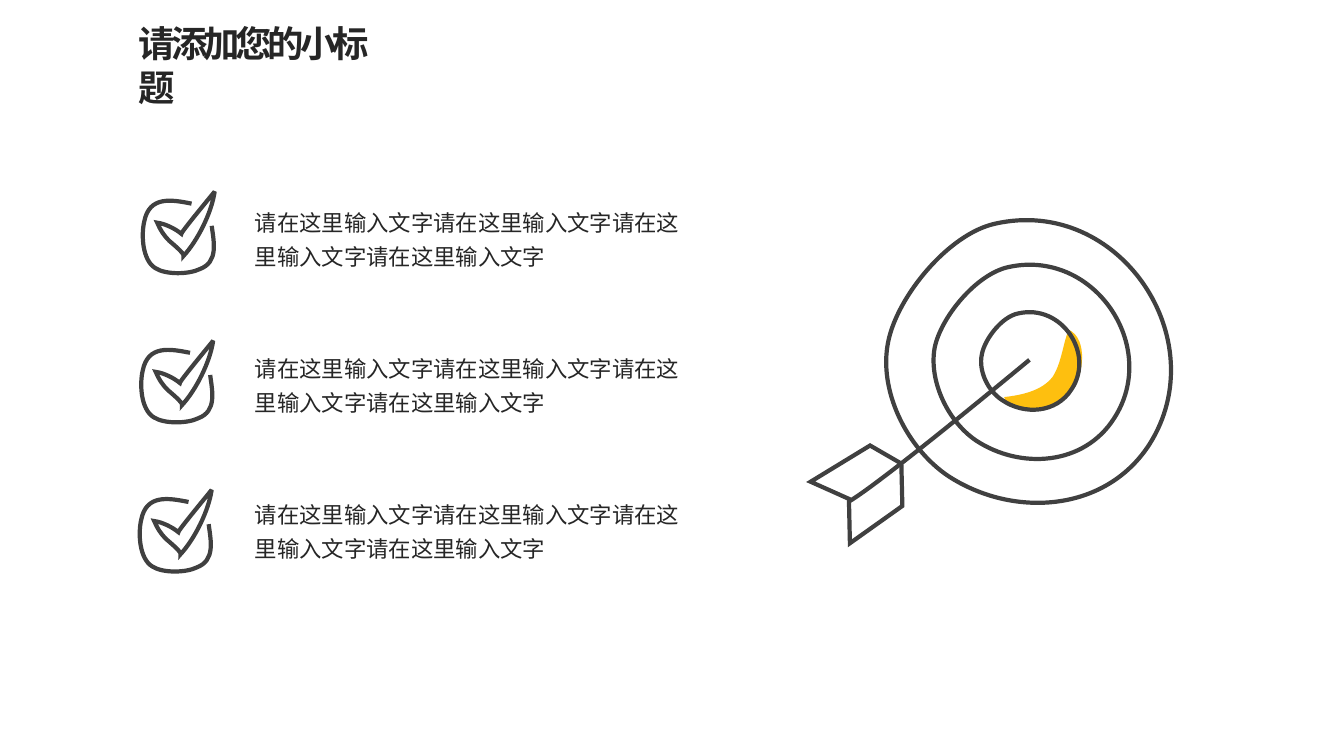
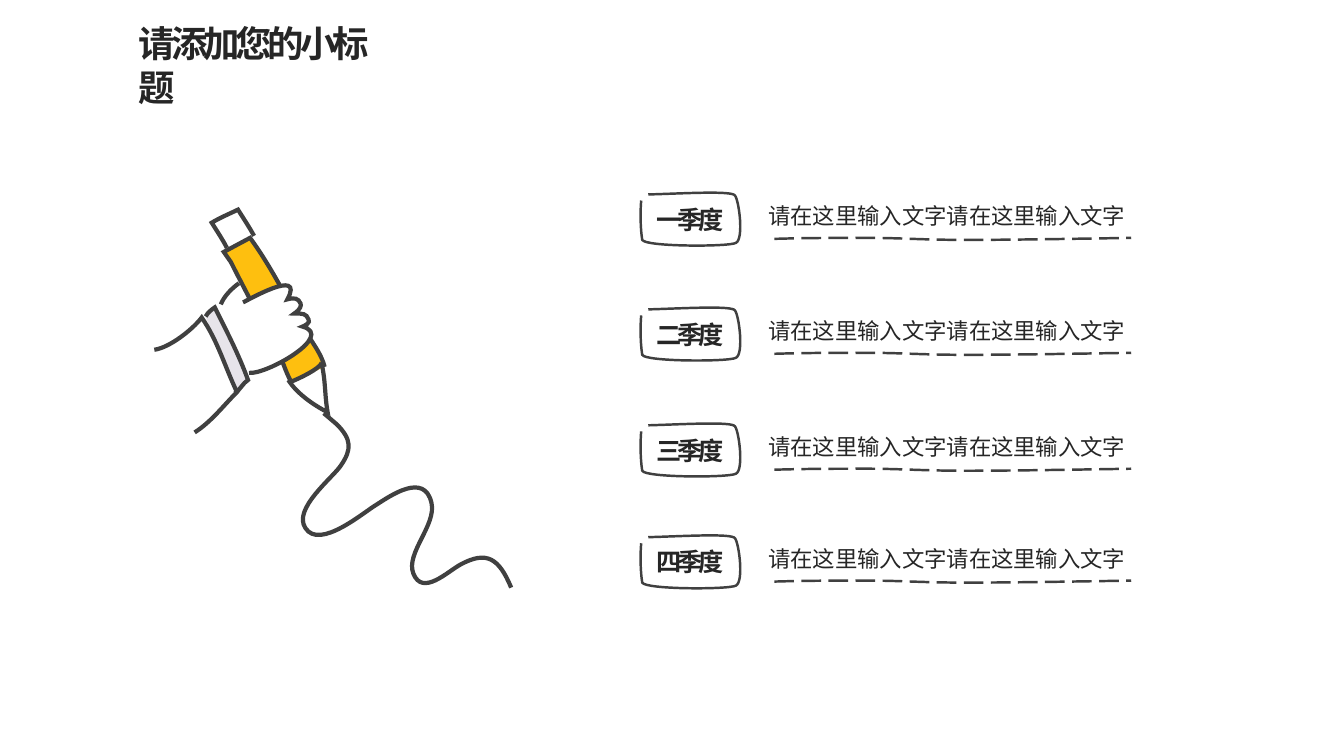
"""Build two hand-drawn slides: a target with ticked points, and a pen with quarters."""
from dataclasses import dataclass
from math import cos, radians, sin

from lxml import etree
from pptx import Presentation
from pptx import util as u
from pptx.dml.color import RGBColor
from pptx.enum import dml, text
from pptx.oxml.ns import qn


@dataclass(frozen=True)
class Theme:
    """Colours, type sizes and line widths of the deck."""
    font: str = "Noto Sans CJK SC"
    ink: str = "262626"
    line: str = "404040"
    gold: str = "FEBF0F"
    grey: str = "E7E4EA"
    white: str = "FFFFFF"
    title: int = 26
    label: int = 18
    body: int = 16
    tight: int = -300
    bold: float = 3
    thin: float = 1.75


T = Theme()
CELL = u.Inches(1)
STEPS = 40
TAGS = {"M": "a:moveTo", "L": "a:lnTo", "C": "a:cubicBezTo"}
WORDS = "请在这里输入文字"

BOX = "M 1.9 2.02 C 1.7 1.98 1.48 1.94 1.43 2.2 1.4 2.33 1.41 2.58 1.54 2.66 " \
      "1.65 2.73 1.88 2.72 1.98 2.67 2.17 2.6 2.12 2.4 2.1 2.24"
TICK = "M 2.13 1.9 C 2.14 1.89 1.79 2.31 1.8 2.32 1.74 2.27 1.64 2.22 1.56 2.21 " \
       "1.59 2.28 1.62 2.33 1.68 2.39 1.69 2.4 1.84 2.52 1.82 2.54 " \
       "1.96 2.39 2.1 2.11 2.13 1.9 Z"
SHADE = "M 9.97 3.97 C 10.01 4.07 10.24 4.07 10.32 4.07 10.45 4.05 10.57 3.98 10.64 3.87 " \
        "10.74 3.73 10.8 3.37 10.6 3.27 10.54 3.42 10.53 3.6 10.44 3.74 " \
        "10.33 3.88 10.13 3.92 9.96 3.94 9.96 3.95 9.96 3.96 9.97 3.97 Z"
TARGET = (
    "M 9.4 4.72 C 10.04 5.14 10.96 5.09 11.4 4.41 12.06 3.37 11.1 1.94 9.87 2.22 "
    "9.41 2.32 8.9 2.94 8.81 3.39 8.71 3.87 8.99 4.44 9.4 4.72 Z",
    "M 9.68 4.37 C 10.12 4.66 10.75 4.62 11.05 4.15 11.51 3.44 10.85 2.46 10 2.65 "
    "9.68 2.72 9.33 3.15 9.27 3.45 9.21 3.78 9.4 4.18 9.68 4.37 Z",
    "M 9.94 3.97 C 10.16 4.12 10.48 4.1 10.63 3.86 10.86 3.51 10.53 3.01 10.1 3.11 "
    "9.94 3.14 9.77 3.36 9.74 3.51 9.7 3.68 9.8 3.88 9.94 3.97 Z",
    "M 8.42 4.95 L 8.04 4.78 8.63 4.42 8.94 4.6 8.95 5.02 8.43 5.39 "
    "C 8.43 5.39 8.42 4.95 8.42 4.95 Z",
    "M 10.21 3.57 C 10.21 3.57 8.79 4.75 8.43 4.97",
)
PEN = (
    ("M 3.21 4.1 C 3.26 4.14 3.28 4.16 3.34 4.21 3.49 4.36 3.49 4.46 3.38 4.62 "
     "3.3 4.74 2.9 5.05 3.03 5.24 3.17 5.46 3.61 5.08 3.73 5.01 "
     "3.87 4.92 4.21 4.68 4.28 4.99 4.33 5.21 4.02 5.49 4.1 5.69 "
     "4.19 5.92 4.44 5.67 4.57 5.6 4.83 5.46 4.95 5.54 5.07 5.83", None),
    ("M 3.22 3.64 C 3.19 3.52 3.12 3.43 3.05 3.32 2.86 3 2.7 2.66 2.48 2.36 "
     "L 2.22 2.5 2.29 2.6 C 2.38 2.78 2.64 3.28 2.74 3.45 "
     "2.8 3.56 2.83 3.69 2.89 3.79", T.gold),
    ("M 3.19 3.6 C 3.17 3.66 2.96 3.76 2.88 3.79", None),
    ("M 2.19 3.02 C 2.22 2.94 2.3 2.86 2.37 2.81", None),
    ("M 2.41 3 C 2.42 3 3.03 2.64 2.85 2.97 2.92 2.95 2.96 2.96 2.98 3.01 "
     "2.99 3.03 2.98 3.07 2.92 3.11 3 3.11 3.04 3.11 3.06 3.17 "
     "3.08 3.2 3.03 3.23 3 3.24 3.33 3.33 2.64 3.72 2.47 3.7", T.white),
    ("M 2.04 3.14 C 2.06 3.1 2.1 3.07 2.13 3.05 2.25 3.29 2.37 3.52 2.46 3.77 "
     "2.41 3.8 2.38 3.87 2.33 3.9", T.grey),
    ("M 1.53 3.47 C 1.68 3.45 1.91 3.27 2 3.15 2.16 3.38 2.23 3.64 2.35 3.89 "
     "2.22 4.02 2.09 4.19 1.93 4.29", None),
    ("M 2.52 2.34 C 2.47 2.25 2.41 2.16 2.36 2.08 2.28 2.12 2.18 2.16 2.1 2.21 "
     "2.15 2.29 2.21 2.38 2.25 2.46", None),
    ("M 2.86 3.77 C 2.94 3.9 3.11 4.02 3.25 4.09 3.22 3.93 3.23 3.77 3.19 3.61", None),
)
RULE = "M 7.68 .46 C 7.99 .45 8.3 .45 8.61 .45 8.93 .45 9.15 .47 9.58 .47 " \
       "10.02 .47 10.62 .46 11.22 .45"
FRAME = "M 6.43 .02 C 6.78 .01 7.26 -.02 7.29 .03 7.33 .08 7.38 .46 7.3 .5 " \
        "7.23 .54 6.4 .54 6.37 .47 6.35 .35 6.35 .18 6.36 .08"
ROWS = (("一季度", 1.91), ("二季度", 3.05), ("三季度", 4.2), ("四季度", 5.31))


def turn(x, y, angle):
    """Turn a point clockwise about the slide's corner."""
    c, s = cos(radians(angle)), sin(radians(angle))
    return x * c - y * s, x * s + y * c


def split(track, dx, dy, angle):
    """Turn a track of M, L, C and Z marks into steps, moved and turned back."""
    steps, nums, mode = [], [], "M"
    for word in track.split():
        if word.isalpha():
            mode = word
            continue
        nums.append(float(word))
        if len(nums) == (6 if mode == "C" else 2):
            dots = zip(nums[::2], nums[1::2])
            steps.append((mode, [turn(x + dx, y + dy, -angle) for x, y in dots]))
            nums = []
    return steps, mode == "Z"


def bounds(steps):
    """Return the left, top, right and bottom that the steps reach."""
    seen = []
    for mode, dots in steps:
        if mode == "C":
            a, (b, c, d) = seen[-1], dots
            for n in range(1, STEPS + 1):
                t, s = n / STEPS, 1 - n / STEPS
                seen.append(tuple(s**3 * a[k] + 3 * s * s * t * b[k]
                                  + 3 * s * t * t * c[k] + t**3 * d[k] for k in (0, 1)))
        else:
            seen += dots
    xs, ys = zip(*seen)
    return min(xs), min(ys), max(xs), max(ys)


def outline(slide, track, dx, dy, angle):
    """Add a freeform with true curves."""
    steps, shut = split(track, dx, dy, angle)
    x, y, right, low = bounds(steps)
    wide, high = right - x, low - y
    seed = slide.shapes.build_freeform(0, 0, scale=1.0)
    seed.add_line_segments([(CELL, CELL)], close=shut)
    shape = seed.convert_to_shape()
    mx, my = turn(x + wide / 2, y + high / 2, angle)
    shape.left, shape.top = round((mx - wide / 2) * CELL), round((my - high / 2) * CELL)
    shape.width, shape.height = round(wide * CELL), round(high * CELL)
    shape.rotation = angle
    route = shape._element.find(".//" + qn("a:path"))
    route.set("w", str(shape.width))
    route.set("h", str(shape.height))
    for old in list(route):
        route.remove(old)
    for mode, dots in steps:
        step = etree.SubElement(route, qn(TAGS[mode]))
        for px, py in dots:
            dot = etree.SubElement(step, qn("a:pt"))
            dot.set("x", str(round((px - x) * CELL)))
            dot.set("y", str(round((py - y) * CELL)))
    if shut:
        etree.SubElement(route, qn("a:close"))
    return shape


def draw(slide, track, fill=None, line=T.line, width=T.bold, dash=None,
         dx=0, dy=0, angle=0):
    """Draw a track, moved by dx columns and dy rows, in fill and line."""
    shape = outline(slide, track, dx, dy, angle)
    shape.shadow.inherit = False
    if fill:
        shape.fill.solid()
        shape.fill.fore_color.rgb = RGBColor.from_string(fill)
    else:
        shape.fill.background()
    if not line:
        shape.line.fill.background()
        return shape
    shape.line.color.rgb = RGBColor.from_string(line)
    shape.line.width = u.Pt(width)
    if dash:
        shape.line.dash_style = dash
    edge = shape.line._get_or_add_ln()
    etree.SubElement(edge, qn("a:miter")).set("lim", "800000")
    return shape


def write(frame, words, size, bold=False, align=None, space=None, tight=None):
    """Put one styled run into the first paragraph of a frame."""
    para = frame.paragraphs[0]
    para.alignment = align
    para.line_spacing = space
    run = para.add_run()
    run.text = words
    run.font.name = T.font
    run.font.size = u.Pt(size)
    run.font.bold = bold
    run.font.color.rgb = RGBColor.from_string(T.ink)
    if tight:
        run._r.get_or_add_rPr().set("spc", str(tight))


def block(slide, x, y, w, h, words, size, **style):
    """Add a wrapped text box that grows with its words."""
    box = slide.shapes.add_textbox(*(round(n * CELL) for n in (x, y, w, h)))
    frame = box.text_frame
    frame.word_wrap = True
    frame.auto_size = text.MSO_AUTO_SIZE.SHAPE_TO_FIT_TEXT
    write(frame, words, size, **style)
    return frame


def page(deck):
    """Add a blank slide with the shared title."""
    slide = deck.slides.add_slide(deck.slide_layouts[6])
    head = block(slide, 1.28, .16, 2.8, .54, "请添加您的小标题", T.title,
                 bold=True, tight=T.tight)
    head.margin_right = u.Inches(.2)
    return slide


def check(slide, n):
    """Add the ticked box of row n."""
    parts = [draw(slide, track, dx=-.015 * n, dy=1.48 * n) for track in (BOX, TICK)]
    slide.shapes.add_group_shape(parts)


def target(slide, angle=7.9):
    """Add the target with its arrow."""
    parts = [draw(slide, SHADE, fill=T.gold, line=None, angle=angle)]
    parts += [draw(slide, track, angle=angle) for track in TARGET]
    slide.shapes.add_group_shape(parts)


def pen(slide, angle=62.6):
    """Add the hand that draws a line with a pen."""
    parts = [draw(slide, track, fill=fill, angle=angle) for track, fill in PEN]
    slide.shapes.add_group_shape(parts)


def quarter(slide, name, top):
    """Add a framed quarter name and its dashed rule."""
    draw(slide, RULE, width=T.thin, dash=dml.MSO_LINE.LONG_DASH, dy=top)
    tag = draw(slide, FRAME, fill=T.white, width=T.thin, dy=top).text_frame
    tag.word_wrap = True
    tag.vertical_anchor = text.MSO_ANCHOR.MIDDLE
    write(tag, name, T.label, bold=True, align=text.PP_ALIGN.CENTER, tight=T.tight)


def main():
    """Build and save the deck."""
    deck = Presentation()
    deck.slide_width, deck.slide_height = u.Inches(13.33), u.Inches(7.5)
    goals = page(deck)
    for n in range(3):
        check(goals, n)
    target(goals)
    for n in range(3):
        block(goals, 2.43, 1.96 + 1.45 * n, 4.5, .74, WORDS * 4, T.body, space=1.25)
    year = page(deck)
    pen(year)
    for name, top in ROWS:
        quarter(year, name, top)
    for _, top in ROWS:
        block(year, 7.52, top - .02, 5.02, .41, WORDS * 2, T.body,
              align=text.PP_ALIGN.JUSTIFY, space=1.25)
    deck.save("out.pptx")


main()
